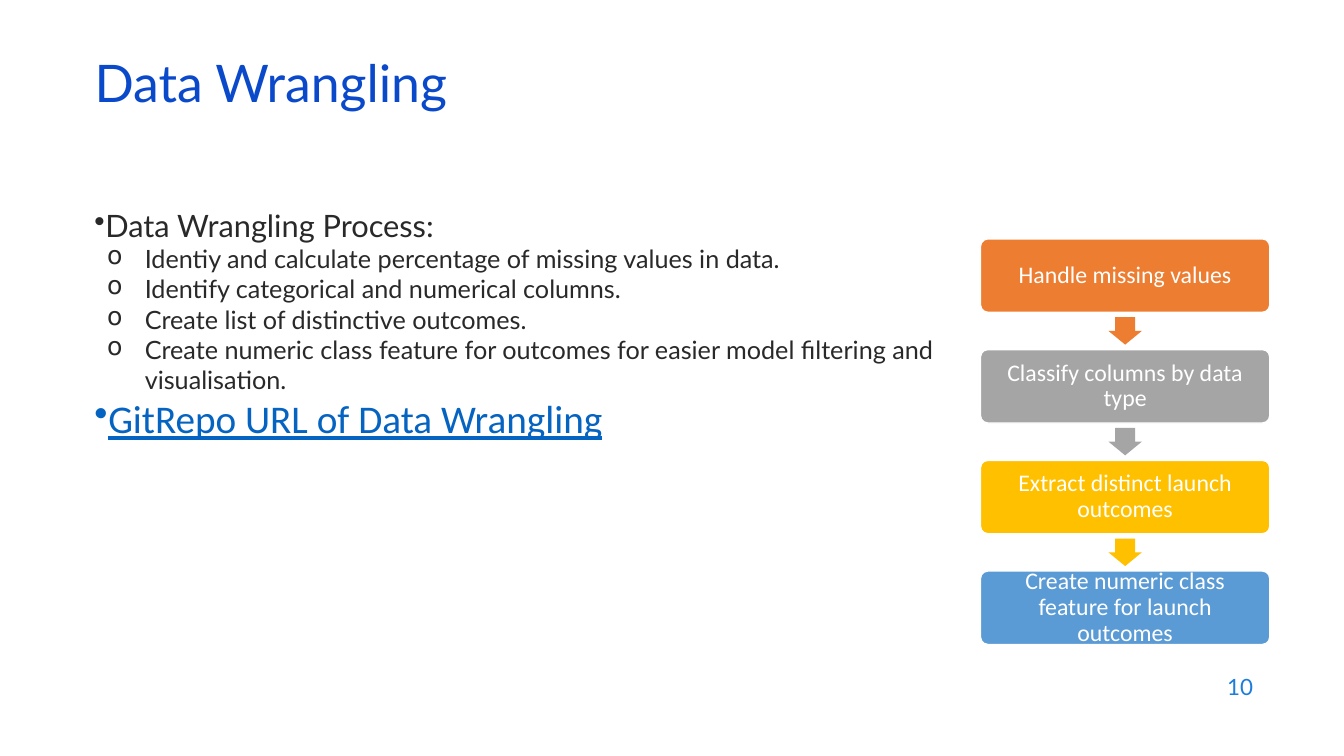
from dataclasses import dataclass

from lxml.etree import SubElement
from pptx import Presentation
from pptx.dml.color import RGBColor
from pptx.enum.shapes import MSO_SHAPE as Preset
from pptx.enum.text import MSO_ANCHOR as Anchor, MSO_AUTO_SIZE as AutoSize, PP_ALIGN as Align
from pptx.oxml.ns import qn
from pptx.shapes.autoshape import Shape
from pptx.slide import Slide
from pptx.text.text import _Paragraph as Paragraph
from pptx.util import Cm, Pt


@dataclass(frozen=True)
class Theme:
    heading_font: str = "Lato"
    plain_font: str = "Calibri"
    title_colour: str = "0B49CB"
    text_colour: str = "292929"
    link_colour: str = "0563C1"
    number_colour: str = "1C7DDB"
    white: str = "FFFFFF"
    title_size: int = 37
    topic_size: int = 22
    detail_size: int = 18
    link_size: int = 28
    step_size: int = 17
    number_size: int = 16


THEME = Theme()


@dataclass(frozen=True)
class BulletStyle:
    mark: str
    margin: float
    hanging: float
    size: int
    font: str
    colour: str
    underline: bool = False


TOPIC = BulletStyle("•", 0, 0, THEME.topic_size, THEME.heading_font, THEME.text_colour)
DETAIL = BulletStyle("o", 1.27, 0.95, THEME.detail_size, THEME.heading_font, THEME.text_colour)
LINK = BulletStyle("•", 0, 0, THEME.link_size, THEME.plain_font, THEME.link_colour, True)


@dataclass(frozen=True)
class Bullet:
    text: str
    style: BulletStyle


@dataclass(frozen=True)
class Step:
    text: str
    colour: str


BULLETS = [
    Bullet("Data Wrangling Process:", TOPIC),
    Bullet("Identiy and calculate percentage of missing values in data.", DETAIL),
    Bullet("Identify categorical and numerical columns.", DETAIL),
    Bullet("Create list of distinctive outcomes.", DETAIL),
    Bullet("Create numeric class feature for outcomes for easier model filtering and visualisation.", DETAIL),
    Bullet("GitRepo URL of Data Wrangling", LINK),
]

STEPS = [
    Step("Handle missing values", "ED7D31"),
    Step("Classify columns by data type", "A5A5A5"),
    Step("Extract distinct launch outcomes", "FFC000"),
    Step("Create numeric class feature for launch outcomes", "5B9BD5"),
]

STEP_LEFT, STEP_TOP, STEP_WIDTH, STEP_HEIGHT = 24.71, 6.02, 7.29, 1.85
STEP_PITCH = 2.79
ARROW_LENGTH, ARROW_WIDTH = 0.69, 0.84


def format_runs(para: Paragraph, size: int, font: str, colour: str) -> None:
    for span in para.runs:
        span.font.size = Pt(size)
        span.font.name = font
        span.font.color.rgb = RGBColor.from_string(colour)


def add_title(page: Slide, text: str) -> None:
    title = page.shapes.title
    title.left, title.top, title.width, title.height = Cm(2.13), Cm(1.5), Cm(29.21), Cm(1.52)
    frame = title.text_frame
    frame.text = text
    frame.auto_size = AutoSize.NONE
    frame.vertical_anchor = Anchor.MIDDLE
    para = frame.paragraphs[0]
    para.alignment = Align.LEFT
    para.line_spacing = 0.7
    format_runs(para, THEME.title_size, THEME.heading_font, THEME.title_colour)


def add_bullets(page: Slide, bullets: list[Bullet]) -> None:
    box = page.shapes.add_textbox(Cm(2.13), Cm(5.08), Cm(24.94), Cm(12.09))
    frame = box.text_frame
    frame.word_wrap = True
    for index, bullet in enumerate(bullets):
        para = frame.add_paragraph() if index else frame.paragraphs[0]
        style = bullet.style
        para.text = bullet.text
        properties = para._p.get_or_add_pPr()
        properties.set("marL", str(Cm(style.margin)))
        properties.set("indent", str(-Cm(style.hanging)))
        SubElement(properties, qn("a:buChar")).set("char", style.mark)
        format_runs(para, style.size, style.font, style.colour)
        if style.underline:
            para.runs[0].font.underline = True


def add_filled_shape(page: Slide, preset: Preset, left: float, top: float,
                     width: float, height: float, colour: str) -> Shape:
    shape = page.shapes.add_shape(preset, Cm(left), Cm(top), Cm(width), Cm(height))
    shape.shadow.inherit = False
    shape.fill.solid()
    shape.fill.fore_color.rgb = RGBColor.from_string(colour)
    return shape


def add_step(page: Slide, step: Step, top: float) -> None:
    box = add_filled_shape(page, Preset.ROUNDED_RECTANGLE, STEP_LEFT, top,
                           STEP_WIDTH, STEP_HEIGHT, step.colour)
    box.adjustments[0] = 0.1
    box.line.color.rgb = RGBColor.from_string(THEME.white)
    box.line.width = Pt(1)
    frame = box.text_frame
    frame.text = step.text
    frame.word_wrap = True
    frame.vertical_anchor = Anchor.MIDDLE
    frame.margin_left = frame.margin_right = frame.margin_top = frame.margin_bottom = Cm(0.23)
    para = frame.paragraphs[0]
    para.alignment = Align.CENTER
    para.line_spacing = 0.9
    format_runs(para, THEME.step_size, THEME.plain_font, THEME.white)


def add_arrow_below(page: Slide, step: Step, top: float) -> None:
    """Point from the step at this top to the next one, halfway across the gap."""
    centre_x = STEP_LEFT + STEP_WIDTH / 2
    centre_y = top + (STEP_HEIGHT + STEP_PITCH) / 2
    arrow = add_filled_shape(page, Preset.RIGHT_ARROW, centre_x - ARROW_LENGTH / 2,
                             centre_y - ARROW_WIDTH / 2, ARROW_LENGTH, ARROW_WIDTH, step.colour)
    arrow.adjustments[0] = 0.6
    arrow.adjustments[1] = 0.5
    arrow.rotation = 90
    arrow.line.fill.background()


def add_process(page: Slide, steps: list[Step]) -> None:
    for index, step in enumerate(steps):
        top = STEP_TOP + index * STEP_PITCH
        add_step(page, step, top)
        if index < len(steps) - 1:
            add_arrow_below(page, step, top)


def add_page_number(page: Slide, number: str) -> None:
    box = page.shapes.add_textbox(Cm(24.21), Cm(16.74), Cm(7.62), Cm(1.12))
    frame = box.text_frame
    frame.text = number
    frame.word_wrap = True
    frame.vertical_anchor = Anchor.MIDDLE
    para = frame.paragraphs[0]
    para.alignment = Align.RIGHT
    format_runs(para, THEME.number_size, THEME.heading_font, THEME.number_colour)


def main() -> None:
    deck = Presentation()
    deck.slide_width, deck.slide_height = Cm(33.87), Cm(19.05)
    page = deck.slides.add_slide(deck.slide_layouts.get_by_name("Title Only"))
    add_title(page, "Data Wrangling")
    add_bullets(page, BULLETS)
    add_process(page, STEPS)
    add_page_number(page, "10")
    deck.save("out.pptx")


if __name__ == "__main__":
    main()
